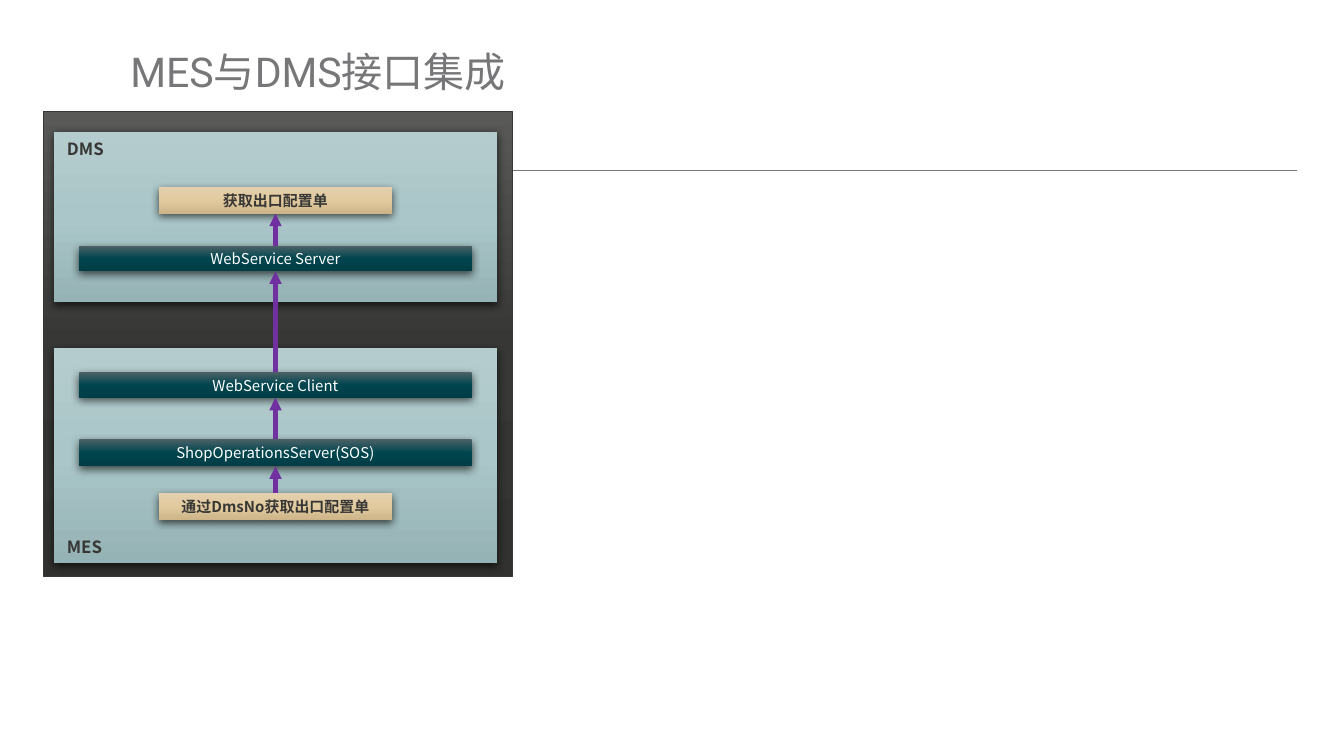
from copy import deepcopy

from lxml.etree import SubElement
from pptx import Presentation
from pptx.dml.color import RGBColor
from pptx.enum.shapes import MSO_CONNECTOR, MSO_SHAPE
from pptx.enum.text import MSO_ANCHOR, MSO_AUTO_SIZE, PP_ALIGN
from pptx.oxml.ns import qn
from pptx.util import Inches, Pt

GRAY = RGBColor(0x77, 0x77, 0x79)
DARK = RGBColor(0x37, 0x37, 0x35)
WHITE = RGBColor(0xFF, 0xFF, 0xFF)
PURPLE = RGBColor(0x70, 0x30, 0xA0)
FRAME_FILL = (RGBColor(0x59, 0x59, 0x58), DARK, RGBColor(0x31, 0x31, 0x2F))
PANEL_FILL = (RGBColor(0xB5, 0xCC, 0xCE), RGBColor(0xAA, 0xC6, 0xC8), RGBColor(0x95, 0xB2, 0xB4))
TEAL_FILL = (RGBColor(0x4B, 0x61, 0x67), RGBColor(0x00, 0x45, 0x4E), RGBColor(0x00, 0x3D, 0x45))
SAND_FILL = (RGBColor(0xE4, 0xD0, 0xAE), RGBColor(0xE2, 0xCA, 0x9F), RGBColor(0xCD, 0xB4, 0x89))
CJK_FONT = "Noto Sans CJK SC"

TITLE = "MES与DMS接口集成"
PANELS = [
    ("DMS", 0.98, 1.27, MSO_ANCHOR.TOP),
    ("MES", 2.59, 1.6, MSO_ANCHOR.BOTTOM),
]
SERVICE = {"width": 2.92, "colors": TEAL_FILL, "color": WHITE, "bold": False}
DOCUMENT = {"width": 1.74, "colors": SAND_FILL, "color": DARK, "bold": True}
STEPS = [
    ("获取出口配置单", 1.39, 0.2, DOCUMENT),
    ("WebService Server", 1.83, 0.19, SERVICE),
    ("WebService Client", 2.77, 0.19, SERVICE),
    ("ShopOperationsServer(SOS)", 3.27, 0.2, SERVICE),
    ("通过DmsNo获取出口配置单", 3.67, 0.2, DOCUMENT),
]
CENTER = 2.05


def write(shape, text, *, size, color, font=CJK_FONT, bold=False,
          align=PP_ALIGN.LEFT, anchor=MSO_ANCHOR.MIDDLE):
    frame = shape.text_frame
    frame.word_wrap = True
    frame.auto_size = MSO_AUTO_SIZE.NONE
    frame.vertical_anchor = anchor
    para = frame.paragraphs[0]
    para.alignment = align
    span = para.add_run()
    span.text = text
    span.font.name = font
    span.font.size = Pt(size)
    span.font.bold = bold
    span.font.color.rgb = color
    SubElement(span.font._element, qn("a:ea"), typeface=CJK_FONT)
    return para


def add_box(page, left, top, width, height, colors, shadow=True):
    box = page.shapes.add_shape(MSO_SHAPE.RECTANGLE, Inches(left), Inches(top),
                                Inches(width), Inches(height))
    box.fill.gradient()
    box.fill.gradient_angle = 270
    stop_list = box._element.spPr.find(".//" + qn("a:gsLst"))
    stop_list.append(deepcopy(stop_list[0]))
    for stop, color, position in zip(box.fill.gradient_stops, colors, (0, 0.5, 1)):
        stop.color.rgb = color
        stop.position = position
    box.line.fill.background()
    box.shadow.inherit = False
    if shadow:
        effects = box._element.spPr.find(qn("a:effectLst"))
        outer = SubElement(effects, qn("a:outerShdw"), blurRad=str(Pt(4.5)),
                           dist=str(Pt(1.5)), dir="5400000", rotWithShape="0")
        tint = SubElement(outer, qn("a:srgbClr"), val="000000")
        SubElement(tint, qn("a:alpha"), val="63000")
    return box


def add_line(page, start, end, color, width, arrow=False):
    line = page.shapes.add_connector(MSO_CONNECTOR.STRAIGHT,
                                     *(Inches(value) for value in start + end))
    line.line.color.rgb = color
    line.line.width = Pt(width)
    if arrow:
        SubElement(line.line._get_or_add_ln(), qn("a:tailEnd"), type="triangle")
    SubElement(line._element.spPr, qn("a:effectLst"))


def main():
    deck = Presentation()
    deck.slide_width = Inches(10)
    deck.slide_height = deck.slide_width * 9 // 16
    page = deck.slides.add_slide(deck.slide_layouts[5])

    add_line(page, (0.35, 1.27), (9.65, 1.27), GRAY, 0.5)
    title = page.shapes.title
    title.left, title.top = Inches(0.97), Inches(0.01)
    title.width, title.height = Inches(8.55), Inches(1.09)
    title.text_frame.margin_left = 0
    write(title, TITLE, size=22, color=GRAY, font="Roboto").line_spacing = 0.9

    frame = add_box(page, 0.32, 0.83, 3.49, 3.46, FRAME_FILL, shadow=False)
    frame.line.color.rgb = DARK
    frame.line.width = Pt(0.5)

    for name, top, height, anchor in PANELS:
        panel = add_box(page, 0.4, top, 3.3, height, PANEL_FILL)
        write(panel, name, size=9, color=DARK, bold=True, anchor=anchor)

    for text, top, height, style in STEPS:
        width = style["width"]
        step = add_box(page, CENTER - width / 2, top, width, height, style["colors"])
        write(step, text, size=8, color=style["color"], bold=style["bold"],
              align=PP_ALIGN.CENTER)

    for (_, top, height, _), (_, lower_top, _, _) in zip(STEPS, STEPS[1:]):
        add_line(page, (CENTER, lower_top), (CENTER, top + height), PURPLE, 2.25, arrow=True)

    deck.save("out.pptx")


if __name__ == "__main__":
    main()
